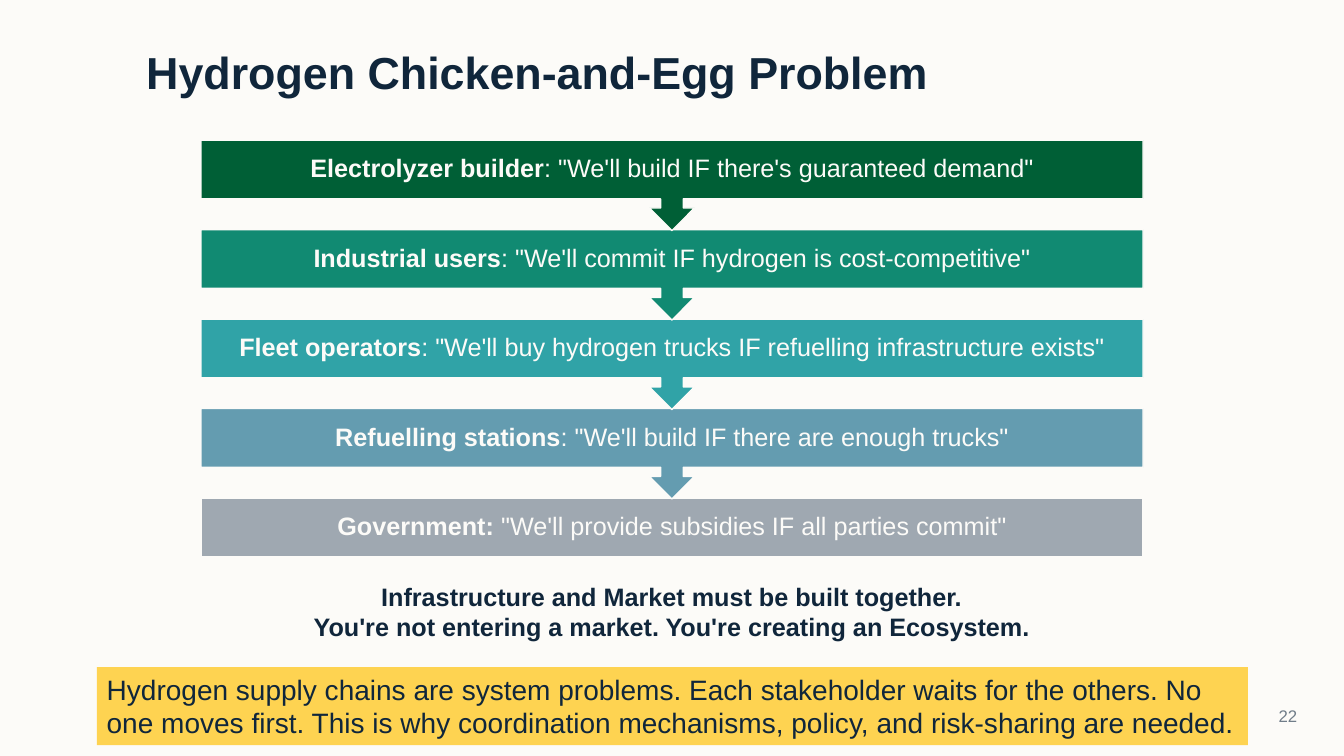
from lxml import etree
from pptx import Presentation
from pptx.dml.color import RGBColor
from pptx.enum.shapes import MSO_SHAPE as SHAPE
from pptx.enum.text import MSO_ANCHOR as ANCHOR, MSO_AUTO_SIZE as AUTO, PP_ALIGN as ALIGN
from pptx.oxml.ns import qn
from pptx.util import Pt

TITLE = "Hydrogen Chicken-and-Egg Problem"
STAKEHOLDERS = [  # name, condition, colour
    ("Electrolyzer builder", ": \"We'll build IF there's guaranteed demand\"", "green"),
    ("Industrial users", ": \"We'll commit IF hydrogen is cost-competitive\"", "emerald"),
    ("Fleet operators",
     ": \"We'll buy hydrogen trucks IF refuelling infrastructure exists\"", "teal"),
    ("Refuelling stations", ": \"We'll build IF there are enough trucks\"", "blue"),
    ("Government: ", "\"We'll provide subsidies IF all parties commit\"", "grey"),
]
CONCLUSION = [
    "Infrastructure and Market must be built together.",
    "You're not entering a market. You're creating an Ecosystem.",
]
TAKEAWAY = ("Hydrogen supply chains are system problems. Each stakeholder waits for the "
            "others. No one moves first. This is why coordination mechanisms, policy, "
            "and risk-sharing are needed.")
PAGE = "22"

COLORS = {
    "paper": "FCFBF8", "navy": "10263B", "muted": "707D89", "gold": "FFC000",
    "green": "005F36", "emerald": "118A72", "teal": "30A3A7", "blue": "649CB0",
    "grey": "9FA8B1",
}
FONT = "Arial"
CHAIN_LEFT, CHAIN_TOP, CHAIN_WIDTH = 143.5, 100.1, 673
STEP, CALLOUT_HEIGHT, BAR_HEIGHT = 63.9, 64.6, 41.9


def color(name):
    return RGBColor.from_string(COLORS[name])


def add_run(p, text, size, name, bold=False):
    r = p.add_run()
    r.text = text
    r.font.name, r.font.size, r.font.bold = FONT, Pt(size), bold
    r.font.color.rgb = color(name)


def set_frame(s, inset_x, inset_y, anchor):
    tf = s.text_frame
    tf.word_wrap, tf.auto_size, tf.vertical_anchor = True, AUTO.NONE, anchor
    tf.margin_left = tf.margin_right = Pt(inset_x)
    tf.margin_top = tf.margin_bottom = Pt(inset_y)
    return tf


def add_box(slide, kind, box, fill):
    s = slide.shapes.add_shape(kind, *map(Pt, box))
    s.shadow.inherit = False
    s.fill.solid()
    s.fill.fore_color.rgb = color(fill)
    return s


def add_chain(slide):
    """Stack the stakeholders; each callout points at the next, the last is a plain bar."""
    last = len(STAKEHOLDERS) - 1
    for i in range(last, -1, -1):
        name, condition, fill = STAKEHOLDERS[i]
        kind, height = ((SHAPE.RECTANGLE, BAR_HEIGHT) if i == last
                        else (SHAPE.DOWN_ARROW_CALLOUT, CALLOUT_HEIGHT))
        s = add_box(slide, kind, (CHAIN_LEFT, CHAIN_TOP + i * STEP, CHAIN_WIDTH, height), fill)
        s.line.color.rgb = color("paper")
        s.line.width = Pt(1)
        p = set_frame(s, 10, 10, ANCHOR.MIDDLE).paragraphs[0]
        p.alignment, p.line_spacing = ALIGN.CENTER, 0.9
        add_run(p, name, 18, "paper", bold=True)
        add_run(p, condition, 18, "paper")


def add_title(slide):
    s = slide.shapes.title
    s.left, s.top, s.width, s.height = map(Pt, (104.4, 0, 822.2, 70.6))
    p = set_frame(s, 0, 0, ANCHOR.BOTTOM).paragraphs[0]
    p.alignment, p.line_spacing = ALIGN.LEFT, Pt(40)
    add_run(p, TITLE, 32, "navy", bold=True)


def add_takeaway(slide):
    s = add_box(slide, SHAPE.RECTANGLE, (69.1, 476.6, 822.2, 55.7), "gold")
    rgb = s.fill._xPr.find(".//" + qn("a:srgbClr"))
    etree.SubElement(rgb, qn("a:alpha")).set("val", "67000")
    s.line.fill.background()
    p = set_frame(s, 7.2, 3.6, ANCHOR.TOP).paragraphs[0]
    p.alignment = ALIGN.LEFT
    add_run(p, TAKEAWAY, 20, "navy")


def add_conclusion(slide):
    s = slide.shapes.add_textbox(*map(Pt, (213.8, 411.8, 532.1, 51)))
    tf = set_frame(s, 7.2, 3.6, ANCHOR.TOP)
    for i, line in enumerate(CONCLUSION):
        p = tf.add_paragraph() if i else tf.paragraphs[0]
        p.alignment = ALIGN.CENTER
        add_run(p, line, 18, "navy", bold=True)


def add_page_number(slide):
    s = slide.shapes.add_textbox(*map(Pt, (869.8, 504, 56.9, 15.8)))
    p = set_frame(s, 0, 0, ANCHOR.TOP).paragraphs[0]
    p.alignment = ALIGN.RIGHT
    add_run(p, PAGE, 12, "muted")


def main():
    prs = Presentation()
    prs.slide_width, prs.slide_height = Pt(960), Pt(540)
    slide = prs.slides.add_slide(prs.slide_layouts[5])
    slide.background.fill.solid()
    slide.background.fill.fore_color.rgb = color("paper")
    add_title(slide)
    add_chain(slide)
    add_conclusion(slide)
    add_takeaway(slide)
    add_page_number(slide)
    prs.save("out.pptx")


if __name__ == "__main__":
    main()
